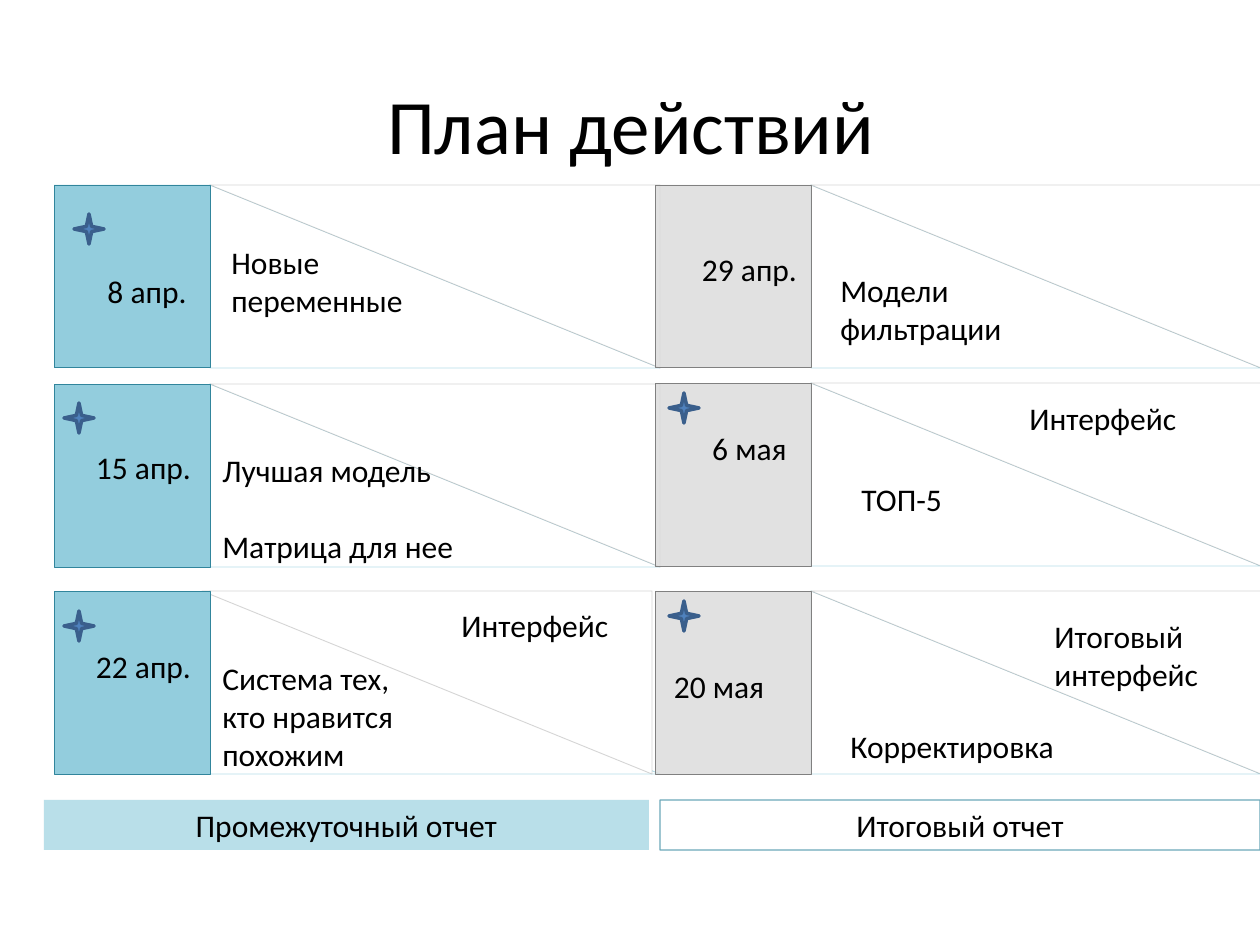
from dataclasses import dataclass

from lxml import etree
from pptx import Presentation
from pptx.dml.color import RGBColor
from pptx.enum.shapes import MSO_SHAPE
from pptx.enum.text import MSO_ANCHOR, PP_ALIGN
from pptx.oxml.ns import qn
from pptx.util import Pt

RECT, STAR = MSO_SHAPE.RECTANGLE, MSO_SHAPE.STAR_4_POINT
WEDGE = MSO_SHAPE.RIGHT_TRIANGLE
LEFT, CENTER = PP_ALIGN.LEFT, PP_ALIGN.CENTER
TOP, MIDDLE = MSO_ANCHOR.TOP, MSO_ANCHOR.MIDDLE
SCALE = 914400 / 126


@dataclass(frozen=True)
class Theme:
    font: str = "Calibri"
    title: int = 44
    body: int = 18
    gap: int = 22
    ink: str = "000000"
    white: str = "FFFFFF"
    aqua: str = "93CDDD"
    teal: str = "31859C"
    grey: str = "808080"
    pale: str = "D9D9D9"
    blue: str = "4F81BD"
    navy: str = "3A5F8C"


T = Theme()


def emu(*px):
    return [round(n * SCALE) for n in px]


def paint(fill, color, node, alpha):
    fill.solid()
    fill.fore_color.rgb = RGBColor.from_string(color)
    if alpha < 100:
        tint = node.find(qn("a:solidFill")).find(qn("a:srgbClr"))
        etree.SubElement(tint, qn("a:alpha")).set("val", str(alpha * 1000))


def draw(slide, kind, box, fill=None, line=None):
    """Fill is (color, alpha); line is (color, points, alpha)."""
    shape = slide.shapes.add_shape(kind, *emu(*box))
    shape.shadow.inherit = False
    props = shape._element.spPr
    if fill:
        paint(shape.fill, fill[0], props, fill[1])
    else:
        shape.fill.background()
    if line:
        color, width, alpha = line
        shape.line.width = Pt(width)
        paint(shape.line.fill, color, props.find(qn("a:ln")), alpha)
    else:
        shape.line.fill.background()
    return shape


def write(shape, text, size=T.body, align=LEFT, anchor=TOP):
    frame = shape.text_frame
    frame.text = text
    frame.word_wrap = True
    frame.vertical_anchor = anchor
    for para in frame.paragraphs:
        para.alignment = align
        for run in para.runs:
            run.font.name = T.font
            run.font.size = Pt(size)
            run.font.color.rgb = RGBColor.from_string(T.ink)
    return frame


def label(slide, text, box, align=LEFT):
    return write(slide.shapes.add_textbox(*emu(*box)), text, align=align)


def card(slide, x, y, tile, date, notes, star=None, shift=0):
    """Date tile and split panel; inner places are relative to x, y."""
    wide, high, span = 156, 183, 450
    # Panel halves
    draw(slide, WEDGE, (x + wide, y, span, high), line=(T.aqua, 0.5, 65))
    upper = draw(slide, WEDGE, (x + wide + shift, y, span, high),
                 (T.white, 100), (T.grey, 0.5, 32))
    upper.rotation = 180
    # Date tile
    fill, edge = tile
    draw(slide, RECT, (x, y, wide, high), fill, (edge, 0.5, 100))
    text, dx, dy, width = date
    label(slide, text, (x + dx, y + dy, width, 50), CENTER)
    # Tasks
    for text, dx, dy, width, height in notes:
        frame = label(slide, text, (x + dx, y + dy, width, height))
        for para in frame.paragraphs[1:]:
            para.space_before = Pt(T.gap)
    # Star marker
    if star:
        draw(slide, STAR, (x + star[0], y + star[1], 30, 30),
             (T.blue, 100), (T.navy, 2, 100))


def footer(slide, text, box, fill, line=None):
    bar = draw(slide, RECT, box, fill, line)
    write(bar, text, align=CENTER, anchor=MIDDLE)


def heading(slide, text, box):
    title = slide.shapes.title
    title.left, title.top, title.width, title.height = emu(*box)
    write(title, text, T.title, CENTER, MIDDLE)


# Columns: x, tile look, cards as (y, date, notes, star, shift)
COLUMNS = [
    (54, ((T.aqua, 100), T.teal), [
        (185, ("8 апр.", 34, 81, 118),
         [("Новые переменные", 165, 52, 229, 78)], (20, 29), 0),
        (384, ("15 апр.", 0, 58, 179),
         [("Лучшая модель\nМатрица для нее", 156, 61, 275, 111)],
         (10, 19), 0),
        (591, ("22 апр.", 0, 50, 179),
         [("Система тех, кто нравится похожим", 156, 62, 229, 111),
          ("Интерфейс", 395, 9, 193, 44)], (10, 20), -8),
    ]),
    (655, ((T.pale, 78), T.grey), [
        (185, ("29 апр.", 5, 59, 179),
         [("Модели фильтрации", 173, 80, 229, 89)], None, 0),
        (383, ("6 мая", 5, 40, 179),
         [("Интерфейс", 362, 10, 229, 50),
          ("ТОП-5", 194, 91, 229, 50)], (14, 10), 0),
        (591, ("20 мая", 5, 70, 118),
         [("Итоговый интерфейс", 387, 20, 218, 89),
          ("Корректировка", 183, 130, 248, 50)], (14, 10), 0),
    ]),
]


def main():
    deck = Presentation()
    deck.slide_width, deck.slide_height = emu(1260, 945)
    slide = deck.slides.add_slide(deck.slide_layouts[5])
    for x, tile, cards in COLUMNS:
        for y, date, notes, star, shift in cards:
            card(slide, x, y, tile, date, notes, star, shift)
    footer(slide, "Промежуточный отчет", (44, 800, 605, 50), (T.aqua, 64))
    footer(slide, "Итоговый отчет", (660, 800, 600, 50), (T.white, 32),
           (T.teal, 0.75, 71))
    heading(slide, "План действий", (64, 45, 1134, 158))
    deck.save("out.pptx")


if __name__ == "__main__":
    main()
